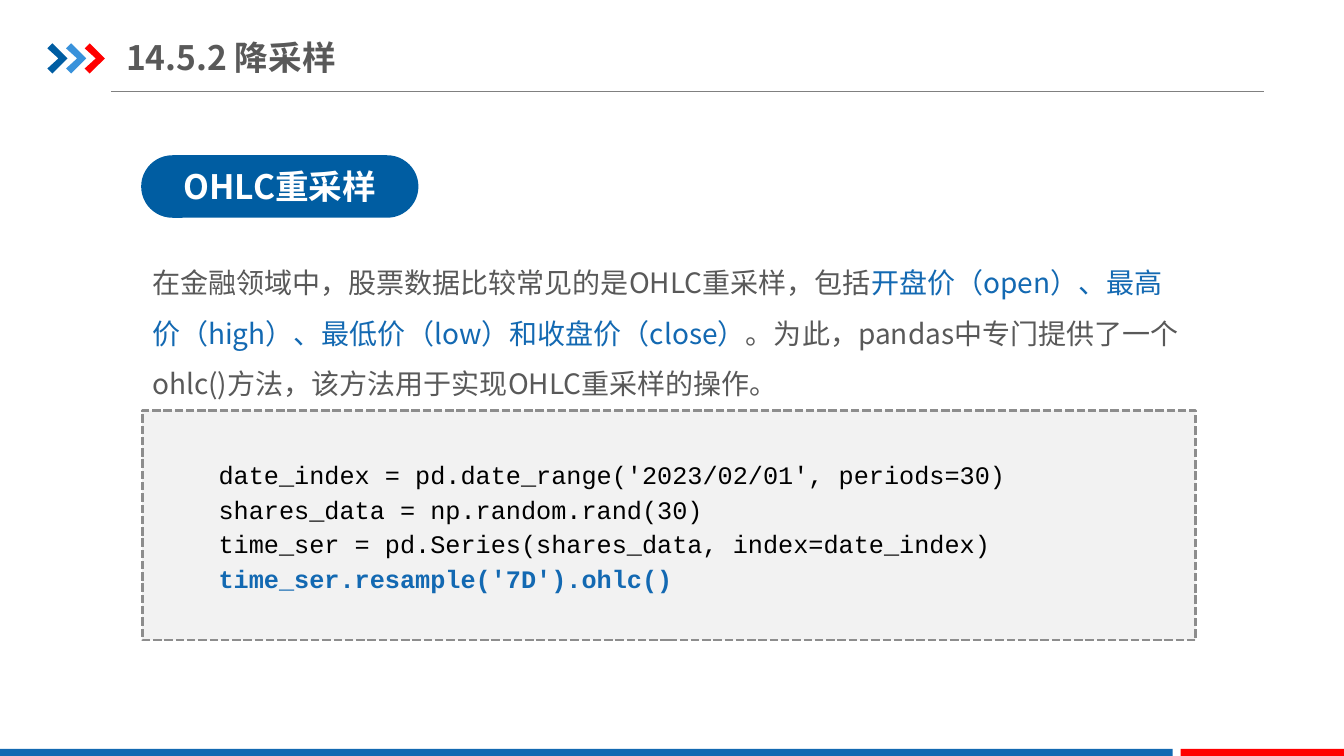
from dataclasses import dataclass

import lxml.etree
import pptx
import pptx.dml.color
import pptx.enum.dml
import pptx.enum.shapes
import pptx.enum.text
import pptx.oxml.ns
import pptx.util
from pptx.util import Inches

SHAPE = pptx.enum.shapes.MSO_SHAPE
ANCHOR = pptx.enum.text.MSO_ANCHOR
ALIGN = pptx.enum.text.PP_ALIGN
qn = pptx.oxml.ns.qn


@dataclass(frozen=True)
class Theme:
    navy: str = "005DA2"
    sky: str = "3992DB"
    red: str = "FF0000"
    blue: str = "1369B2"
    gray: str = "595959"
    rule: str = "808080"
    panel: str = "F2F2F2"
    dash: str = "8D8D8D"
    black: str = "000000"
    white: str = "FFFFFF"
    sans: str = "Noto Sans CJK SC"
    mono: str = "Courier New"
    heading_size: int = 24
    body_size: int = 20
    code_size: int = 18


THEME = Theme()


def rgb(color):
    return pptx.dml.color.RGBColor.from_string(color)


def paint(shape, color):
    """Give a shape a plain fill with no outline or shadow."""
    shape.shadow.inherit = False
    shape.fill.solid()
    shape.fill.fore_color.rgb = rgb(color)
    shape.line.fill.background()


def add_block(page, kind, left, top, width, height, color):
    block = page.shapes.add_shape(
        kind, Inches(left), Inches(top), Inches(width), Inches(height))
    paint(block, color)
    return block


def add_chevron(page, left, color):
    top, width, height, notch = 0.43, 0.2, 0.3, 0.05
    middle = top + height / 2
    outline = [(left + notch, top), (left + width, middle),
               (left + notch, top + height), (left, top + height - notch),
               (left + width / 2 + 0.01, middle)]
    builder = page.shapes.build_freeform(Inches(left), Inches(top + notch))
    builder.add_line_segments([(Inches(x), Inches(y)) for x, y in outline])
    paint(builder.convert_to_shape(), color)


def add_rule(page, left, right, y):
    rule = page.shapes.add_connector(
        pptx.enum.shapes.MSO_CONNECTOR.STRAIGHT,
        Inches(left), Inches(y), Inches(right), Inches(y))
    rule.line.color.rgb = rgb(THEME.rule)
    rule.line.width = pptx.util.Pt(0.75)
    lxml.etree.SubElement(rule._element.spPr, qn("a:effectLst"))


def add_text_box(page, left, top, width, height):
    box = page.shapes.add_textbox(
        Inches(left), Inches(top), Inches(width), Inches(height))
    box.text_frame.word_wrap = True
    return box.text_frame


def style(span, size, color, bold=False, face=THEME.sans):
    span.font.name = face
    span.font.size = pptx.util.Pt(size)
    span.font.bold = bold
    span.font.color.rgb = rgb(color)
    # East Asian glyphs use the same face
    latin = span.font._element.find(qn("a:latin"))
    east_asian = lxml.etree.Element(qn("a:ea"), typeface=face)
    latin.addnext(east_asian)


def add_heading(frame, text, color):
    frame.vertical_anchor = ANCHOR.MIDDLE
    frame.text = text
    style(frame.paragraphs[0].runs[0], THEME.heading_size, color, bold=True)


def add_passage(frame, parts):
    para = frame.paragraphs[0]
    para.line_spacing = 1.5
    for text, color in parts:
        span = para.add_run()
        span.text = text
        style(span, THEME.body_size, color)


def add_code(frame, lines, key_line):
    frame.text = "\n".join(lines)
    for line, para in zip(lines, frame.paragraphs):
        para.line_spacing = 1.15
        para._p.get_or_add_pPr().set("indent", str(Inches(0.29)))
        key = line == key_line
        style(para.runs[0], THEME.code_size,
              THEME.blue if key else THEME.black, key, THEME.mono)


def main():
    deck = pptx.Presentation()
    deck.slide_width, deck.slide_height = Inches(13.33), Inches(7.5)
    page = deck.slides.add_slide(deck.slide_layouts[6])

    # Header: rule, chevrons and title
    add_rule(page, 1.1, 12.54, 0.91)
    for index, color in enumerate((THEME.navy, THEME.sky, THEME.red)):
        add_chevron(page, 0.47 + index * 0.185, color)
    title = add_text_box(page, 1.25, 0.29, 4.55, 0.55)
    title.margin_left = title.margin_right = 0
    title.margin_top = title.margin_bottom = Inches(0.07)
    add_heading(title, "14.5.2 降采样", THEME.gray)

    # Footer bars
    add_block(page, SHAPE.RECTANGLE, 0, 7.43, 11.63, 0.07, THEME.blue)
    add_block(page, SHAPE.RECTANGLE, 11.71, 7.43, 1.62, 0.07, THEME.red)

    # Code panel
    panel = add_block(page, SHAPE.RECTANGLE, 1.41, 4.07, 10.45, 2.28, THEME.panel)
    panel.line.color.rgb = rgb(THEME.dash)
    panel.line.width = pptx.util.Pt(2)
    panel.line.dash_style = pptx.enum.dml.MSO_LINE.SQUARE_DOT
    key_line = "time_ser.resample('7D').ohlc()"
    add_code(add_text_box(page, 1.78, 4.46, 9.4, 1.49), [
        "date_index = pd.date_range('2023/02/01', periods=30)",
        "shares_data = np.random.rand(30)",
        "time_ser = pd.Series(shares_data, index=date_index)",
        key_line,
    ], key_line)

    # Explanation
    add_passage(add_text_box(page, 1.41, 2.42, 10.45, 1.62), [
        ("在金融领域中，股票数据比较常见的是OHLC重采样，包括", THEME.gray),
        ("开盘价（open）、最高价（high）、最低价（low）和收盘价（close）", THEME.blue),
        ("。为此，pandas中专门提供了一个ohlc()方法，该方法用于实现OHLC重采样的操作。",
         THEME.gray),
    ])

    # Topic label
    label = add_block(page, SHAPE.ROUNDED_RECTANGLE, 1.4, 1.54, 2.75, 0.62, THEME.navy)
    label.adjustments[0] = 0.5
    add_heading(label.text_frame, "OHLC重采样", THEME.white)
    label.text_frame.paragraphs[0].alignment = ALIGN.CENTER

    deck.save("out.pptx")


if __name__ == "__main__":
    main()
